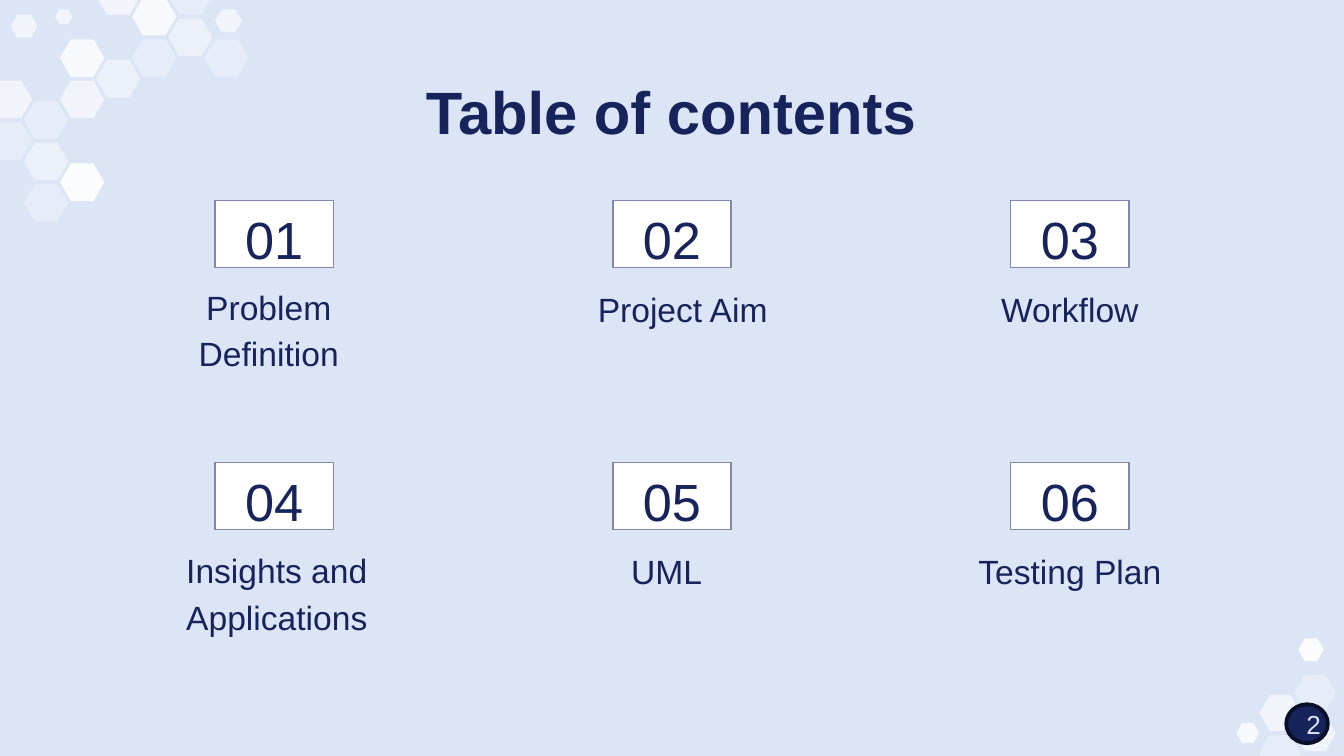
from pptx import Presentation
from pptx.dml.color import RGBColor
from pptx.enum.shapes import MSO_SHAPE
from pptx.enum.text import MSO_ANCHOR, MSO_AUTO_SIZE, PP_ALIGN
from pptx.oxml.ns import qn
from pptx.util import Inches, Pt
from lxml import etree

HEXAGON, RECT, CIRCLE = MSO_SHAPE.HEXAGON, MSO_SHAPE.RECTANGLE, MSO_SHAPE.FLOWCHART_CONNECTOR
TOP, MIDDLE, BOTTOM = MSO_ANCHOR.TOP, MSO_ANCHOR.MIDDLE, MSO_ANCHOR.BOTTOM
CENTER, NO_FIT = PP_ALIGN.CENTER, MSO_AUTO_SIZE.NONE

WIDTH = 10
HEIGHT = WIDTH * 9 / 16
NAVY, PALE, WHITE, EDGE, DARK = "17235B", "DCE5F5", "FFFFFF", "7F87AC", "0A0F28"
COL_X, COL_STEP = 2.04, 2.96
ROW_Y, ROW_STEP = 1.49, 1.95
BOX_W, BOX_H = 0.88, 0.5
LABEL_DROP = 0.64

TITLE = {"size": Pt(32), "bold": True}
NUMBER = {"size": Pt(28), "bold": False}
LABEL = {"size": Pt(18), "bold": False}
PAGE = {"size": Pt(14), "bold": False}

TOPICS = [
    ("Problem Definition", 1.5, 0.75, -0.04),
    ("Project Aim", 1.7, 0.42, 0.08),
    ("Workflow", 2.52, 0.42, 0),
    ("Insights and Applications", 1.7, 0.76, 0.02),
    ("UML", 2.52, 0.42, -0.04),
    ("Testing Plan", 2.52, 0.42, 0),
]

TOP_CELLS = [
    (2, 5, 60), (0, 5, 60), (3, 0, 60), (1, 8, 48), (3, 4, 48),
    (5, 2, 48), (2, 3, 80), (4, 1, 80), (1, 10, 30), (2, 9, 90),
    (1, 6, 30), (0, 7, 30), (6, 3, 30), (4, 3, 30), (5, 0, 30),
]
BOTTOM_CELLS = [(0, 3, 33), (1, 2, 60), (0, 1, 60), (1, 0, 33)]
LOOSE_CELLS = [
    (0.41, 0.07, 0.13, 0.11, 60),
    (0.08, 0.11, 0.2, 0.17, 60),
    (1.6, 0.07, 0.2, 0.17, 60),
    (9.66, 4.75, 0.19, 0.17, 90),
    (9.2, 5.38, 0.17, 0.15, 80),
]


def rgb(value):
    return RGBColor.from_string(value)


def inches(*values):
    return [Inches(v) for v in values]


def add_shape(s, kind, box, fill, line=None, weight=0.75):
    sp = s.shapes.add_shape(kind, *inches(*box))
    sp.shadow.inherit = False
    sp.fill.solid()
    sp.fill.fore_color.rgb = rgb(fill)
    if line:
        sp.line.color.rgb = rgb(line)
        sp.line.width = Pt(weight)
    else:
        sp.line.fill.background()
    return sp


def add_hexagon(s, x, y, w, h, opacity):
    sp = add_shape(s, HEXAGON, (x, y, w, h), WHITE)
    sp.adjustments[0] = 0.29
    color = sp.fill._xPr.find(qn("a:solidFill"))[0]
    etree.SubElement(color, qn("a:alpha"), val=str(opacity * 1000))


def add_honeycomb(s, cells, left, top, right, bottom, w, h):
    step_x = (right - left) / max(col for col, _, _ in cells)
    step_y = (bottom - top) / max(row for _, row, _ in cells)
    for col, row, opacity in cells:
        add_hexagon(s, left + col * step_x, top + row * step_y, w, h, opacity)


def set_text(sp, text, style, anchor, color=NAVY, spacing=None, margins=(0.1,) * 4, wrap=True):
    tf = sp.text_frame
    left, top, right, bottom = inches(*margins)
    frame = {
        "word_wrap": wrap, "auto_size": NO_FIT, "vertical_anchor": anchor,
        "margin_left": left, "margin_top": top,
        "margin_right": right, "margin_bottom": bottom,
    }
    for name, value in frame.items():
        setattr(tf, name, value)
    p = tf.paragraphs[0]
    p.alignment = CENTER
    p.line_spacing = spacing
    r = p.add_run()
    r.text = text
    for name, value in {"name": "Arial", **style}.items():
        setattr(r.font, name, value)
    r.font.color.rgb = rgb(color)


def add_title(s, text):
    sp = s.shapes.title
    sp.left, sp.top, sp.width, sp.height = inches(0.78, 0.46, 8.43, 0.63)
    set_text(sp, text, TITLE, TOP)


def add_topic(s, index, text, w, h, shift):
    row, col = divmod(index, 3)
    x, y = COL_X + col * COL_STEP, ROW_Y + row * ROW_STEP
    box = add_shape(s, RECT, (x - BOX_W / 2, y, BOX_W, BOX_H), WHITE, EDGE)
    set_text(box, f"{index + 1:02d}", NUMBER, MIDDLE, spacing=1.15)
    label = s.shapes.add_textbox(*inches(x - w / 2 + shift, y + LABEL_DROP, w, h))
    set_text(label, text, LABEL, BOTTOM, spacing=1.15)


def add_page_number(s, text):
    sp = add_shape(s, CIRCLE, (9.57, 5.24, 0.31, 0.29), NAVY, DARK, 2)
    set_text(sp, text, PAGE, MIDDLE, PALE, margins=(0.1, 0, 0, 0), wrap=False)


def main():
    prs = Presentation()
    prs.slide_width, prs.slide_height = inches(WIDTH, HEIGHT)
    s = prs.slides.add_slide(prs.slide_layouts[5])
    s.background.fill.solid()
    s.background.fill.fore_color.rgb = rgb(PALE)
    add_honeycomb(s, TOP_CELLS, -0.09, -0.17, 1.52, 1.37, 0.33, 0.28)
    add_honeycomb(s, BOTTOM_CELLS, 9.37, 5.02, 9.63, 5.47, 0.31, 0.27)
    for cell in LOOSE_CELLS:
        add_hexagon(s, *cell)
    add_title(s, "Table of contents")
    for index, topic in enumerate(TOPICS):
        add_topic(s, index, *topic)
    add_page_number(s, "2")
    prs.save("out.pptx")


if __name__ == "__main__":
    main()
